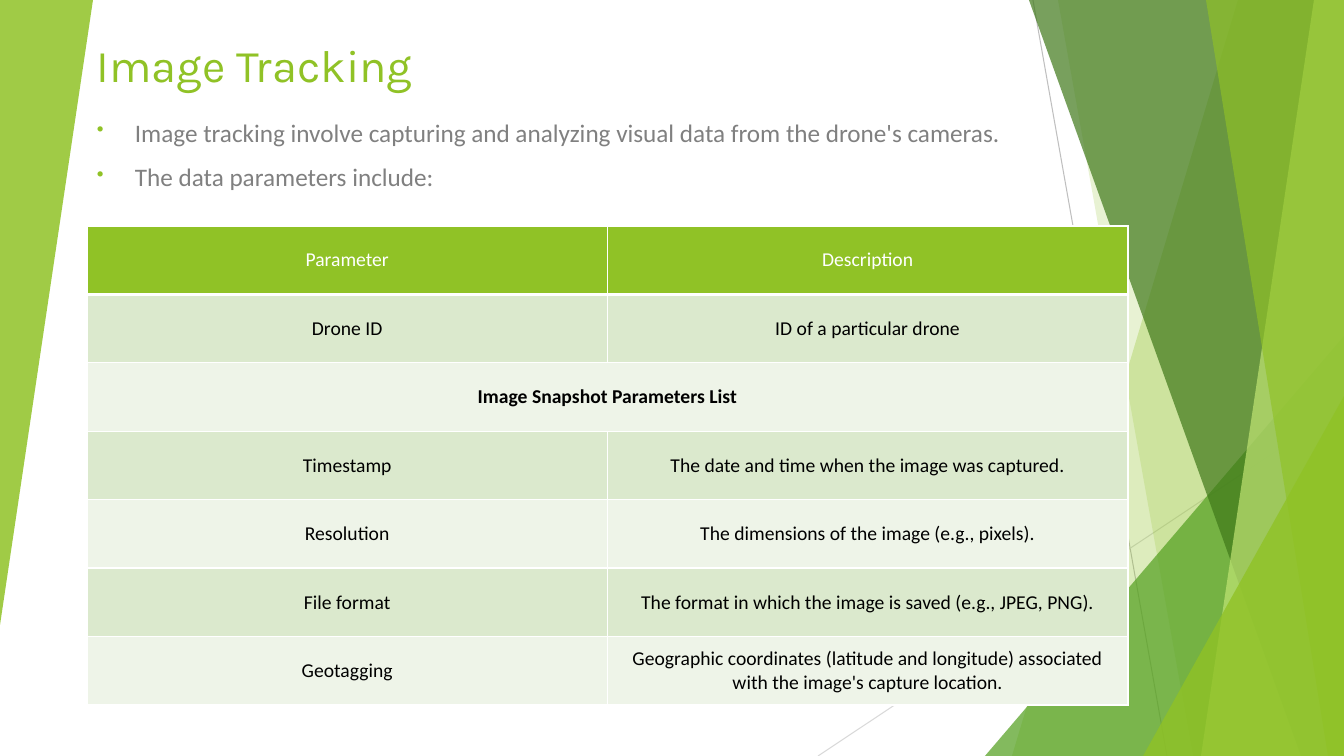
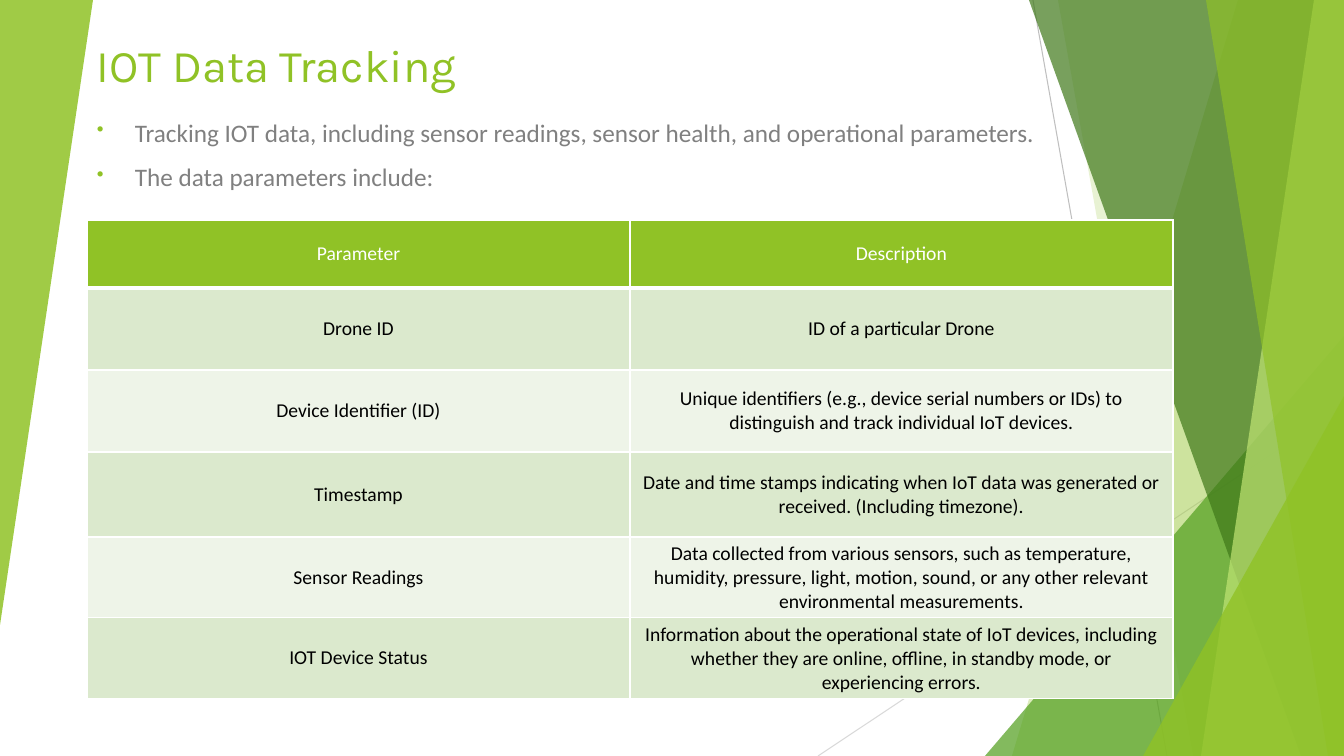
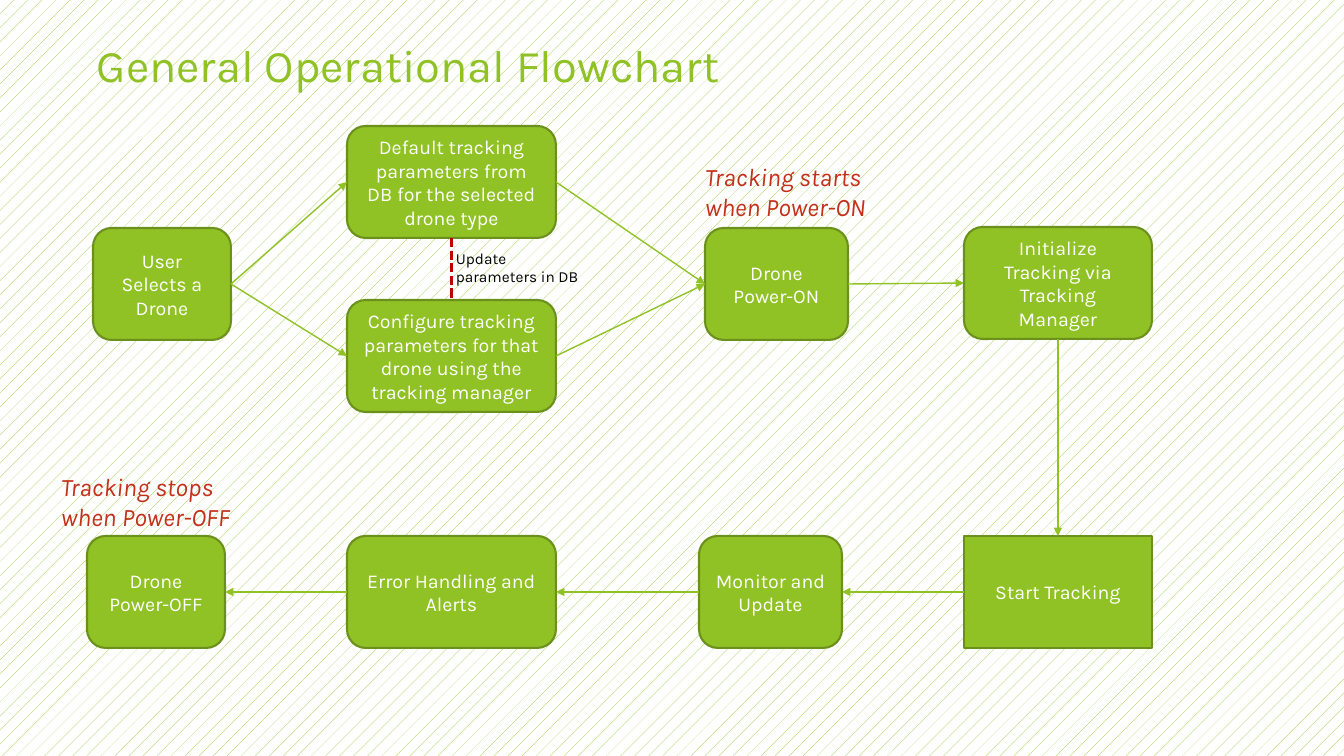
from lxml import etree
from pptx import Presentation
from pptx.dml.color import RGBColor
from pptx.enum.dml import MSO_LINE, MSO_PATTERN
from pptx.enum.shapes import MSO_CONNECTOR, MSO_SHAPE
from pptx.enum.text import MSO_ANCHOR, PP_ALIGN
from pptx.oxml.ns import qn
from pptx.util import Pt

STRAIGHT = MSO_CONNECTOR.STRAIGHT
TRIANGLE = MSO_SHAPE.ISOSCELES_TRIANGLE
RECTANGLE = MSO_SHAPE.RECTANGLE
ROUNDED = MSO_SHAPE.ROUNDED_RECTANGLE
DASH = MSO_LINE.SQUARE_DOT
DOTS = MSO_PATTERN.PERCENT_5
TOP, MIDDLE, BOTTOM = MSO_ANCHOR.TOP, MSO_ANCHOR.MIDDLE, MSO_ANCHOR.BOTTOM
LEFT, CENTER = PP_ALIGN.LEFT, PP_ALIGN.CENTER
TOP_SIDE, LEFT_SIDE, BOTTOM_SIDE, RIGHT_SIDE = range(4)

EMU_PER_PX = 914400 / 100.8
WIDTH, HEIGHT = 1344, 756
MARGIN = 87
HEADING_FONT, BODY_FONT = "Karla", "Calibri"
GREEN, DARK_GREEN, WHITE, BLACK = "90C226", "6B901C", "FFFFFF", "000000"
GREY, RED, DASH_RED = "808080", "C42F1A", "C00000"
BANDS = ("DBE9CD", "EEF4E8")

HAIRLINES = [
    ((1033, 0), (1167, HEIGHT), "BFBFBF"),
    ((WIDTH, 406), (818, HEIGHT), "D9D9D9"),
]
FACETS = [
    ("wedge", (1238, 1012), GREEN, 30),
    ("wedge", (1058, 1193), GREEN, 20),
    ("triangle", (985, 336, 359, 420, 0), "54A021", 72),
    ("wedge", (1029, 1301), "3F7819", 70),
    ("wedge", (1314, 1201), "C0E474", 70),
    ("wedge", (1206, 1328), GREEN, 65),
    ("triangle", (1143, 396, 201, 360, 0), GREEN, 80),
    ("triangle", (0, 0, 93, 625, 180), GREEN, 85),
]

TABLE_SLIDES = [
    {
        "title": "Image Tracking",
        "bullets": [
            "Image tracking involve capturing and analyzing visual data from the drone's cameras.",
            "The data parameters include:",
        ],
        "top": 226,
        "width": 1041,
        "heights": [479 / 7] * 7,
        "rows": [
            ("Parameter", "Description"),
            ("Drone ID", "ID of a particular drone"),
            ("Image Snapshot Parameters List",),
            ("Timestamp", "The date and time when the image was captured."),
            ("Resolution", "The dimensions of the image (e.g., pixels)."),
            ("File format", "The format in which the image is saved (e.g., JPEG, PNG)."),
            ("Geotagging", "Geographic coordinates (latitude and longitude) associated with the image's capture location."),
        ],
    },
    {
        "title": "IOT Data Tracking",
        "bullets": [
            "Tracking IOT data, including sensor readings, sensor health, and operational parameters.",
            "The data parameters include:",
        ],
        "top": 220,
        "width": 1086,
        "heights": [68, 82, 82, 85, 80, 80],
        "rows": [
            ("Parameter", "Description"),
            ("Drone ID", "ID of a particular Drone"),
            ("Device Identifier (ID)", "Unique identifiers (e.g., device serial numbers or IDs) to distinguish and track individual IoT devices."),
            ("Timestamp", "Date and time stamps indicating when IoT data was generated or received. (Including timezone)."),
            ("Sensor Readings", "Data collected from various sensors, such as temperature, humidity, pressure, light, motion, sound, or any other relevant environmental measurements."),
            ("IOT Device Status", "Information about the operational state of IoT devices, including whether they are online, offline, in standby mode, or experiencing errors."),
        ],
    },
]

FLOW_TITLE = "General Operational Flowchart"
STEP_HEIGHT = 112
STEPS = {
    "select": ("User Selects a Drone", 93, 228, 138, ROUNDED),
    "default": ("Default tracking parameters from DB for the selected drone type", 347, 126, 209, ROUNDED),
    "configure": ("Configure tracking parameters for that drone using the tracking manager", 347, 300, 209, ROUNDED),
    "power_on": ("Drone Power-ON", 705, 228, 143, ROUNDED),
    "initialize": ("Initialize Tracking via Tracking Manager", 964, 227, 188, ROUNDED),
    "start": ("Start Tracking", 964, 536, 188, RECTANGLE),
    "monitor": ("Monitor and Update", 699, 536, 143, ROUNDED),
    "errors": ("Error Handling and Alerts", 347, 536, 209, ROUNDED),
    "power_off": ("Drone Power-OFF", 87, 536, 138, ROUNDED),
}
ARROWS = [
    ("select", RIGHT_SIDE, "default", LEFT_SIDE),
    ("select", RIGHT_SIDE, "configure", LEFT_SIDE),
    ("default", RIGHT_SIDE, "power_on", LEFT_SIDE),
    ("configure", RIGHT_SIDE, "power_on", LEFT_SIDE),
    ("power_on", RIGHT_SIDE, "initialize", LEFT_SIDE),
    ("initialize", BOTTOM_SIDE, "start", TOP_SIDE),
    ("start", LEFT_SIDE, "monitor", RIGHT_SIDE),
    ("monitor", LEFT_SIDE, "errors", RIGHT_SIDE),
    ("errors", LEFT_SIDE, "power_off", RIGHT_SIDE),
]
NOTES = [
    ("Tracking starts when Power-ON", (695, 156, 209, 72), 18, RED, True),
    ("Tracking stops when Power-OFF", (51, 466, 216, 72), 18, RED, True),
    ("Update parameters in DB", (446, 244, 143, 47), 11, BLACK, False),
]


def px(*lengths):
    return [round(length * EMU_PER_PX) for length in lengths]


def rgb(value):
    return RGBColor.from_string(value)


def add_child(parent, tag, **attributes):
    return etree.SubElement(parent, qn(tag), attributes)


def style(para, font_name, size, color, align=LEFT, bold=False, italic=False):
    para.alignment = align
    font = para.font
    font.name, font.size = font_name, Pt(size)
    font.bold, font.italic = bold, italic
    font.color.rgb = rgb(color)


def add_text(page, text, area, size, color, anchor=TOP, italic=False):
    frame = page.shapes.add_textbox(*px(*area)).text_frame
    frame.word_wrap = True
    frame.vertical_anchor = anchor
    para = frame.paragraphs[0]
    para.text = text
    style(para, HEADING_FONT, size, color, italic=italic)


def add_title(page, text):
    add_text(page, text, (MARGIN, 30, 913, 67), 32.4, GREEN, BOTTOM)


def add_line(page, start, end, color, weight):
    line = page.shapes.add_connector(STRAIGHT, *px(*start, *end))
    line.line.color.rgb = rgb(color)
    line.line.width = Pt(weight)
    add_child(line._element.spPr, "a:effectLst")
    return line


def add_facets(page):
    for start, end, color in HAIRLINES:
        add_line(page, start, end, color, 0.75)
    for kind, place, color, opacity in FACETS:
        if kind == "wedge":
            top_x, bottom_x = place
            outline = page.shapes.build_freeform(*px(top_x, 0))
            corners = [(WIDTH, 0), (WIDTH, HEIGHT), (bottom_x, HEIGHT)]
            outline.add_line_segments([px(*corner) for corner in corners])
            facet = outline.convert_to_shape()
        else:
            *area, rotation = place
            facet = page.shapes.add_shape(TRIANGLE, *px(*area))
            facet.adjustments[0] = 1
            facet.rotation = rotation
        facet.shadow.inherit = False
        facet.line.fill.background()
        facet.fill.solid()
        facet.fill.fore_color.rgb = rgb(color)
        fill_color = next(facet._element.spPr.iter(qn("a:srgbClr")))
        add_child(fill_color, "a:alpha", val=str(opacity * 1000))


def add_bullets(page, bullets):
    frame = page.shapes.add_textbox(*px(MARGIN, 112, WIDTH - MARGIN, 100)).text_frame
    frame.word_wrap = True
    indent = px(38)[0]
    for index, text in enumerate(bullets):
        para = frame.add_paragraph() if index else frame.paragraphs[0]
        para.text = text
        para.space_before = Pt(10 if index else 0)
        properties = para._p.get_or_add_pPr()
        properties.set("marL", str(indent))
        properties.set("indent", str(-indent))
        add_child(add_child(properties, "a:buClr"), "a:srgbClr", val=GREEN)
        add_child(properties, "a:buSzPct", val="80000")
        add_child(properties, "a:buChar", char="•")
        style(para, BODY_FONT, 18, GREY)


def add_borders(cell, row):
    weights = {"L": 1, "R": 1, "T": 3 if row == 1 else 1, "B": 3 if row == 0 else 1}
    properties = cell._tc.get_or_add_tcPr()
    for side, weight in weights.items():
        border = add_child(properties, f"a:ln{side}", w=str(Pt(weight)))
        add_child(add_child(border, "a:solidFill"), "a:srgbClr", val=WHITE)


def add_parameter_table(page, content):
    rows, heights = content["rows"], content["heights"]
    area = px(MARGIN, content["top"], content["width"], sum(heights))
    table = page.shapes.add_table(len(rows), 2, *area).table
    table.first_row = table.horz_banding = False
    for row, (texts, height) in enumerate(zip(rows, heights)):
        table.rows[row].height = px(height)[0]
        spans = len(texts) == 1
        for column in range(2):
            cell = table.cell(row, column)
            add_borders(cell, row)
            cell.fill.solid()
            cell.fill.fore_color.rgb = rgb(BANDS[(row - 1) % 2] if row else GREEN)
            cell.vertical_anchor = MIDDLE
            if column < len(texts):
                cell.text = texts[column]
                style(cell.text_frame.paragraphs[0], BODY_FONT, 14,
                      BLACK if row else WHITE, CENTER, bold=spans)
        if spans:
            table.cell(row, 0).merge(table.cell(row, 1))


def add_step(page, text, left, top, width, preset):
    step = page.shapes.add_shape(preset, *px(left, top, width, STEP_HEIGHT))
    step.shadow.inherit = False
    step.fill.solid()
    step.fill.fore_color.rgb = rgb(GREEN)
    step.line.color.rgb = rgb(DARK_GREEN)
    step.line.width = Pt(1.5)
    frame = step.text_frame
    frame.word_wrap = True
    frame.vertical_anchor = MIDDLE
    para = frame.paragraphs[0]
    para.text = text
    style(para, HEADING_FONT, 14, WHITE, CENTER)
    return step


def join(page, begin, begin_side, end, end_side, color, weight):
    link = add_line(page, (0, 0), (0, 0), color, weight)
    link.begin_connect(begin, begin_side)
    link.end_connect(end, end_side)
    return link


def add_flowchart(page):
    fill = page.background.fill
    fill.patterned()
    fill.pattern = DOTS
    fill.fore_color.rgb = rgb(GREEN)
    fill.back_color.rgb = rgb(WHITE)
    add_title(page, FLOW_TITLE)
    steps = {name: add_step(page, *step) for name, step in STEPS.items()}
    for begin, begin_side, end, end_side in ARROWS:
        arrow = join(page, steps[begin], begin_side, steps[end], end_side, GREEN, 1)
        add_child(arrow.line._get_or_add_ln(), "a:tailEnd", type="triangle")
    update = join(page, steps["default"], BOTTOM_SIDE, steps["configure"], TOP_SIDE, DASH_RED, 2.25)
    update.line.dash_style = DASH
    for text, area, size, color, italic in NOTES:
        add_text(page, text, area, size, color, italic=italic)


def main():
    deck = Presentation()
    deck.slide_width, deck.slide_height = px(WIDTH, HEIGHT)
    blank = deck.slide_layouts[6]
    for content in TABLE_SLIDES:
        page = deck.slides.add_slide(blank)
        add_facets(page)
        add_title(page, content["title"])
        add_bullets(page, content["bullets"])
        add_parameter_table(page, content)
    add_flowchart(deck.slides.add_slide(blank))
    deck.save("out.pptx")


if __name__ == "__main__":
    main()
